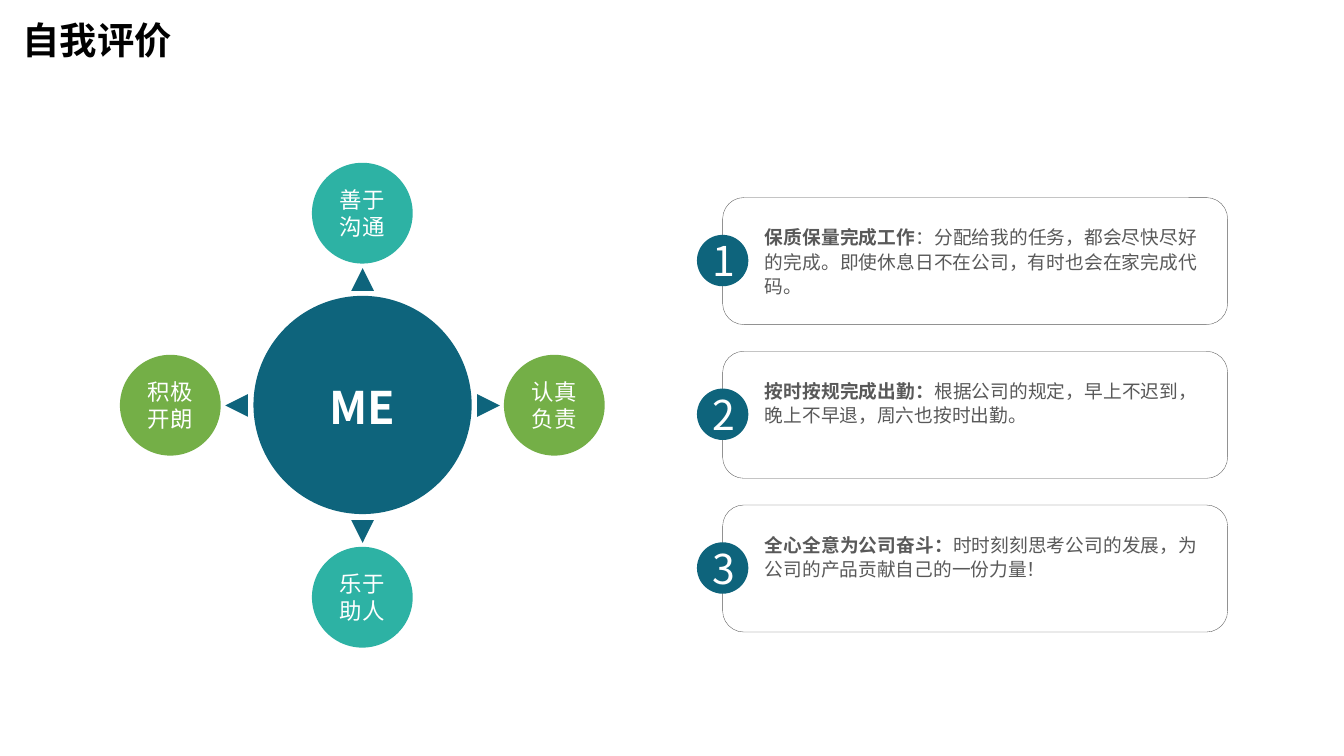
from lxml import etree
from pptx import Presentation
from pptx.dml.color import RGBColor
from pptx.enum.shapes import MSO_SHAPE
from pptx.enum.text import MSO_ANCHOR, MSO_AUTO_SIZE, PP_ALIGN
from pptx.oxml.ns import qn
from pptx.util import Pt

PX = 9144  # EMU per px, 100 px to the inch
FONT = "Noto Sans CJK SC"
BLACK = RGBColor(0x00, 0x00, 0x00)
WHITE = RGBColor(0xFF, 0xFF, 0xFF)
GREY = RGBColor(0x59, 0x59, 0x59)
BLUE = RGBColor(0x0E, 0x64, 0x7C)
TEAL = RGBColor(0x2D, 0xB2, 0xA4)
GREEN = RGBColor(0x74, 0xAF, 0x47)


class Deck:
    def __init__(self, width, height):
        self.prs = Presentation()
        self.prs.slide_width, self.prs.slide_height = width * PX, height * PX
        self.s = self.prs.slides.add_slide(self.prs.slide_layouts[6])

    def style(self, r, size, color, bold=False):
        r.font.name, r.font.size, r.font.bold = FONT, Pt(size), bold
        r.font.color.rgb = color
        ea = etree.SubElement(r.font._element, qn("a:ea"))
        ea.set("typeface", FONT)

    def margins(self, tf, x=0, y=0):
        tf.margin_left = tf.margin_right = x * PX
        tf.margin_top = tf.margin_bottom = y * PX

    def shape(self, kind, x, y, w, h, fill=None, line=None, parent=None):
        shapes = (parent or self.s).shapes
        sp = shapes.add_shape(kind, x * PX, y * PX, w * PX, h * PX)
        sp.shadow.inherit = False
        if fill is None:
            sp.fill.background()
        else:
            sp.fill.solid()
            sp.fill.fore_color.rgb = fill
        if line is None:
            sp.line.fill.background()
        else:
            sp.line.color.rgb = line
            sp.line.width = Pt(0.5)
        return sp

    def circle(self, x, y, d, fill, label=None, parent=None):
        sp = self.shape(MSO_SHAPE.OVAL, x, y, d, d, fill, parent=parent)
        if label:
            tf = sp.text_frame
            self.margins(tf)
            tf.vertical_anchor = MSO_ANCHOR.MIDDLE
            p = tf.paragraphs[0]
            p.text = label
            p.alignment = PP_ALIGN.CENTER
            for r in p.runs:
                self.style(r, 32, WHITE)

    def arrow(self, x, y, size, angle):
        sp = self.shape(MSO_SHAPE.ISOSCELES_TRIANGLE, x, y, size, size, BLUE)
        sp.rotation = angle

    def text(self, x, y, w, h, parts, size, color, align=PP_ALIGN.LEFT,
             inset=(0, 0), spacing=None, parent=None):
        """Add one paragraph; parts are (text, bold) pairs."""
        shapes = (parent or self.s).shapes
        sp = shapes.add_textbox(x * PX, y * PX, w * PX, h * PX)
        tf = sp.text_frame
        tf.word_wrap = True
        tf.auto_size = MSO_AUTO_SIZE.SHAPE_TO_FIT_TEXT
        self.margins(tf, *inset)
        p = tf.paragraphs[0]
        p.alignment = align
        if spacing:
            p.line_spacing = Pt(spacing)
        for words, bold in parts:
            r = p.add_run()
            r.text = words
            self.style(r, size, color, bold)

    def badge(self, x, y, number):
        group = self.s.shapes.add_group_shape()
        self.circle(x, y, 102, BLUE, parent=group)
        self.text(x + 30, y + 2, 42, 99, [(number, False)], 58.6, WHITE,
                  PP_ALIGN.CENTER, parent=group)


def main():
    deck = Deck(2667, 1500)
    deck.text(35, 30, 810, 100, [("自我评价", True)], 53.3, BLACK, inset=(10, 5))

    # Traits around the centre
    cx, cy = 719, 804
    traits = [("善于\n沟通", TEAL, 0, -1, 0), ("乐于\n助人", TEAL, 0, 1, 180),
              ("认真\n负责", GREEN, 1, 0, 90), ("积极\n开朗", GREEN, -1, 0, 270)]
    for label, fill, dx, dy, angle in traits:
        deck.circle(cx + 381 * dx - 100, cy + 381 * dy - 100, 200, fill, label)
        deck.arrow(cx + 250 * dx - 22, cy + 250 * dy - 22, 45, angle)
    deck.circle(cx - 216, cy - 217, 433, BLUE)
    deck.text(cx - 128, cy - 50, 257, 108, [("ME", True)], 64, WHITE,
              PP_ALIGN.CENTER)

    # Numbered statements
    statements = [
        ("保质保量完成工作", "：分配给我的任务，都会尽快尽好的完成。"
         "即使休息日不在公司，有时也会在家完成代码。", 144),
        ("按时按规完成出勤：", "根据公司的规定，早上不迟到，晚上不早退，"
         "周六也按时出勤。", 95),
        ("全心全意为公司奋斗：", "时时刻刻思考公司的发展，"
         "为公司的产品贡献自己的一份力量！", 95),
    ]
    left, top, pitch = 1434, 392, 305
    for i, (head, body, height) in enumerate(statements):
        y = top + i * pitch
        deck.shape(MSO_SHAPE.ROUNDED_RECTANGLE, left, y, 1002, 252, line=GREY)
        deck.badge(left - 51, y + 74, str(i + 1))
        deck.text(left + 84, y + 53, 858, height, [(head, True), (body, False)],
                  26.7, GREY, PP_ALIGN.JUSTIFY, spacing=34.7)

    deck.prs.save("out.pptx")


if __name__ == "__main__":
    main()
